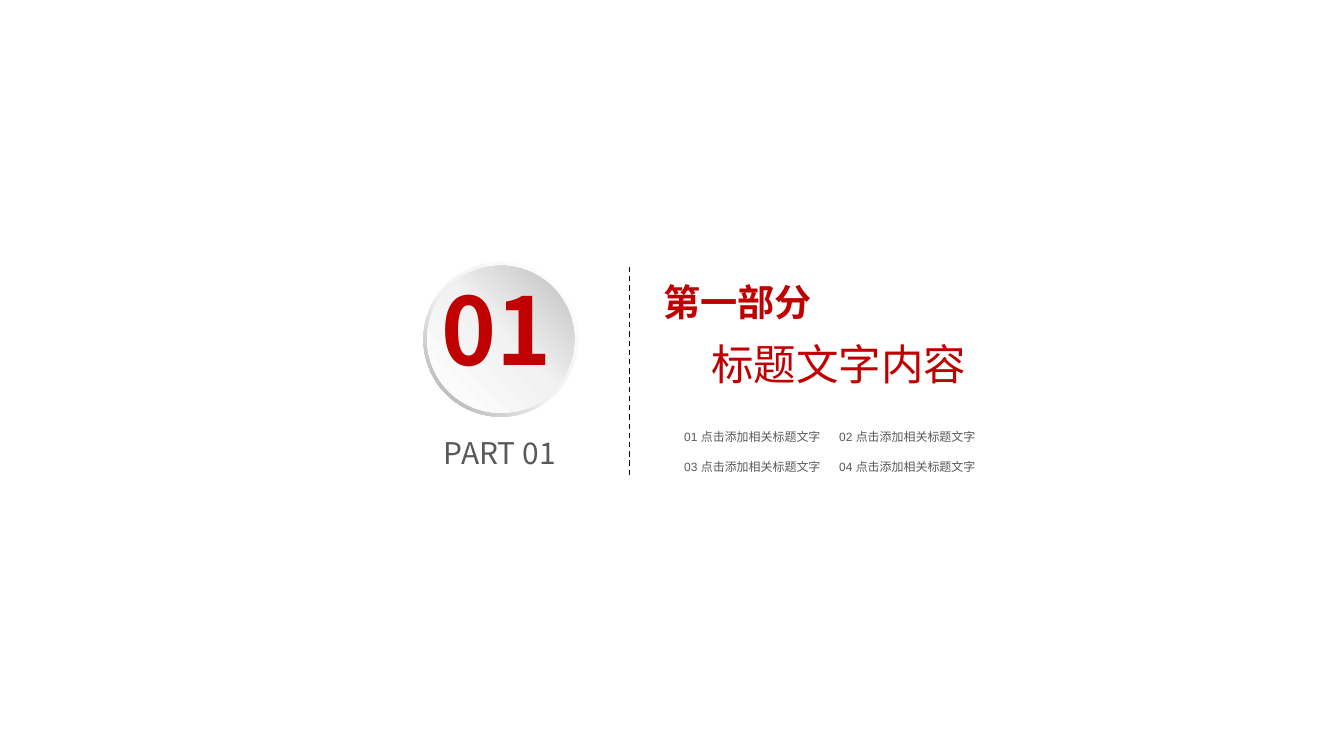
from lxml import etree
from pptx import Presentation
from pptx.dml.color import RGBColor
from pptx.enum.dml import MSO_LINE
from pptx.enum.shapes import MSO_CONNECTOR, MSO_SHAPE as SHAPE
from pptx.enum.text import MSO_ANCHOR
from pptx.oxml import parse_xml
from pptx.oxml.ns import nsdecls, qn
from pptx.util import Pt

RED, GREY, BLACK = "C00000", "595959", "000000"
HEADING_FONT, LABEL_FONT = "Noto Sans CJK SC", "Arial"


def color(value):
    return RGBColor.from_string(value)


def add_text_box(slide, left, top, width, height, inset_x=0, inset_y=0):
    frame = slide.shapes.add_textbox(Pt(left), Pt(top), Pt(width), Pt(height)).text_frame
    frame.word_wrap = True
    frame.vertical_anchor = MSO_ANCHOR.TOP
    frame.margin_left = frame.margin_right = Pt(inset_x)
    frame.margin_top = frame.margin_bottom = Pt(inset_y)
    return frame


def add_run(paragraph, text, size, value, font_name=HEADING_FONT, bold=False):
    run = paragraph.add_run()
    run.text = text
    font = run.font
    font.size, font.bold, font.name = Pt(size), bold, font_name
    font.color.rgb = color(value)
    east_asian = etree.SubElement(run._r.get_or_add_rPr(), qn("a:ea"))
    east_asian.set("typeface", HEADING_FONT)


def indent(paragraph, left):
    properties = paragraph._p.get_or_add_pPr()
    properties.set("marL", str(Pt(left)))
    properties.set("indent", "0")


def add_gradient_shape(group, kind, left, top, size, stops, angle):
    """Add a round shape; stops are (percent, colour), angle runs clockwise."""
    shape = group.shapes.add_shape(kind, Pt(left), Pt(top), Pt(size), Pt(size))
    shape.shadow.inherit = False
    shape.line.fill.background()
    stop_list = "".join(
        f'<a:gs pos="{percent * 1000}"><a:srgbClr val="{value}"/></a:gs>'
        for percent, value in stops
    )
    gradient = parse_xml(
        f'<a:gradFill {nsdecls("a")} rotWithShape="1"><a:gsLst>{stop_list}</a:gsLst>'
        f'<a:lin ang="{angle * 60000}" scaled="0"/></a:gradFill>'
    )
    shape._element.spPr.find(qn("a:prstGeom")).addnext(gradient)
    return shape


def add_badge(slide):
    group = slide.shapes.add_group_shape()
    rim = add_gradient_shape(
        group, SHAPE.DONUT, 319, 197.3, 116.6,
        [(0, "FFFFFF"), (55, "F2F2F2"), (100, "A6A6A6")], 135)
    rim.adjustments[0] = 0.049
    add_gradient_shape(
        group, SHAPE.OVAL, 321.8, 200.2, 110.9,
        [(0, "FFFFFF"), (51, "F2F2F2"), (100, "BFBFBF")], 315)
    number = add_text_box(slide, 332.5, 205, 100, 102)
    add_run(number.paragraphs[0], "01", 70.3, RED, bold=True)
    part = add_text_box(slide, 334.5, 327.5, 100, 33)
    add_run(part.paragraphs[0], "PART 01", 22.5, GREY)


def add_divider(slide):
    line = slide.shapes.add_connector(
        MSO_CONNECTOR.STRAIGHT, Pt(474.2), Pt(357.8), Pt(474.2), Pt(200.2))
    line.line.color.rgb = color(BLACK)
    line.line.width = Pt(1)
    line.line.dash_style = MSO_LINE.DASH
    etree.SubElement(line._element.spPr, qn("a:effectLst"))


def add_title(slide):
    frame = add_text_box(slide, 489.6, 206.6, 259, 105, 7.2, 3.6)
    section = frame.paragraphs[0]
    indent(section, 3)
    add_run(section, "第一部分", 28, RED, bold=True)
    title = frame.add_paragraph()
    indent(title, 39)
    title.space_before = Pt(11)
    add_run(title, "标题文字内容", 32, RED)


def add_topics(slide):
    columns = [(509, 118), (625.7, 123)]
    for index in range(4):
        row, column = divmod(index, 2)
        left, width = columns[column]
        frame = add_text_box(slide, left, 320.4 + row * 22.5, width, 18, 6.5, 3.6)
        add_run(frame.paragraphs[0], f"{index + 1:02d} 点击添加相关标题文字", 9, GREY, LABEL_FONT)


def main():
    presentation = Presentation()
    presentation.slide_width, presentation.slide_height = Pt(1012.5), Pt(569.5)
    slide = presentation.slides.add_slide(presentation.slide_layouts[6])
    add_title(slide)
    add_divider(slide)
    add_badge(slide)
    add_topics(slide)
    presentation.save("out.pptx")


if __name__ == "__main__":
    main()
